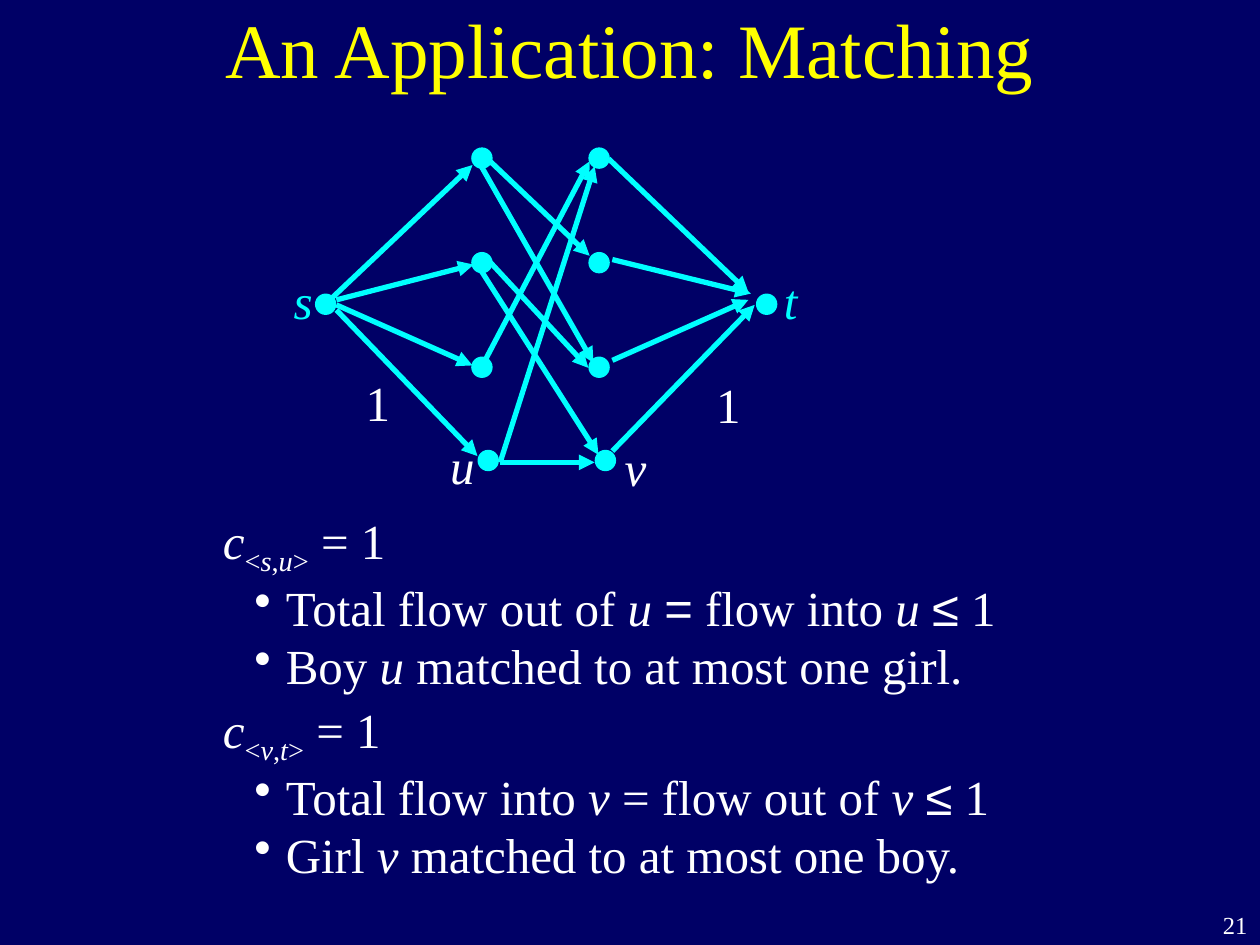
from lxml import etree
from pptx import Presentation
from pptx.dml.color import RGBColor
from pptx.enum.shapes import MSO_CONNECTOR, MSO_SHAPE
from pptx.enum.text import MSO_ANCHOR, PP_ALIGN
from pptx.oxml.ns import qn
from pptx.util import Inches, Pt

NAVY = RGBColor(0x00, 0x00, 0x66)
YELLOW = RGBColor(0xFF, 0xFF, 0x00)
CYAN = RGBColor(0x00, 0xFF, 0xFF)
WHITE = RGBColor(0xFF, 0xFF, 0xFF)
SERIF, SANS = "Times New Roman", "Arial"
LEFT, CENTER, RIGHT = PP_ALIGN.LEFT, PP_ALIGN.CENTER, PP_ALIGN.RIGHT
MIDDLE = MSO_ANCHOR.MIDDLE
STRAIGHT, OVAL = MSO_CONNECTOR.STRAIGHT, MSO_SHAPE.OVAL
DOT = 0.17

prs = Presentation()
prs.slide_width, prs.slide_height = Inches(10), Inches(7.5)
s = prs.slides.add_slide(prs.slide_layouts[5])
s.background.fill.solid()
s.background.fill.fore_color.rgb = NAVY


def style_run(r, size, color, italic=False, font=SERIF):
    r.font.name, r.font.size = font, Pt(size)
    r.font.color.rgb, r.font.italic = color, italic


def add_text(x, y, w, h, text="", size=28, color=WHITE, italic=False, align=CENTER):
    tf = s.shapes.add_textbox(Inches(x), Inches(y), Inches(w), Inches(h)).text_frame
    tf.word_wrap = False
    p = tf.paragraphs[0]
    p.text, p.alignment = text, align
    for r in p.runs:
        style_run(r, size, color, italic)
    return tf


# Title
title = s.shapes.title
title.left, title.top = Inches(0.75), Inches(-0.25)
title.width, title.height = Inches(8.5), Inches(1.25)
tf = title.text_frame
tf.text = "An Application: Matching"
tf.vertical_anchor = MIDDLE
tf.paragraphs[0].alignment = CENTER
style_run(tf.paragraphs[0].runs[0], 44, YELLOW)

# Arrows of the flow network, each as (x1, y1, x2, y2)
boy_to_girl = [
    (3.82, 1.32, 4.71, 2.88), (3.88, 2.07, 4.67, 2.92), (3.85, 2.86, 4.68, 1.28),
    (3.97, 3.67, 4.72, 3.67), (3.89, 1.28, 4.68, 2.03), (3.82, 2.15, 4.75, 3.61),
    (3.97, 3.67, 4.72, 1.32),
]
source_to_boy = [
    (2.67, 2.46, 3.79, 3.62), (2.67, 2.42, 3.75, 2.9),
    (2.67, 2.38, 3.76, 2.1), (2.64, 2.36, 3.75, 1.31),
]
girl_to_sink = [
    (4.86, 3.58, 5.99, 2.42), (4.86, 2.86, 5.94, 2.38),
    (4.86, 2.06, 5.96, 2.33), (4.83, 1.26, 5.94, 2.32),
]
for ends in boy_to_girl + source_to_boy + girl_to_sink:
    arrow = s.shapes.add_connector(STRAIGHT, *(Inches(v) for v in ends))
    arrow.line.color.rgb = CYAN
    arrow.line.width = Pt(3)
    sp_pr = arrow._element.spPr
    etree.SubElement(sp_pr.find(qn("a:ln")), qn("a:tailEnd"), type="triangle")
    etree.SubElement(sp_pr, qn("a:effectLst"))

# Nodes: source, sink, then three aligned boy-girl rows and the pair u, v
nodes = [(2.5, 2.33), (6, 2.33), (3.79, 3.57), (4.72, 3.57)]
nodes += [(x, 1.17 + 0.83 * row) for row in range(3) for x in (3.74, 4.67)]
for x, y in nodes:
    dot = s.shapes.add_shape(OVAL, Inches(x), Inches(y), Inches(DOT), Inches(DOT))
    dot.shadow.inherit = False
    dot.fill.solid()
    dot.fill.fore_color.rgb = CYAN
    dot.line.fill.background()

# Node names and capacities
for text, x, y, w, color in [
    ("s", 2.23, 2.1, 0.35, CYAN), ("t", 6.12, 2.1, 0.31, CYAN),
    ("u", 3.47, 3.41, 0.4, WHITE), ("v", 4.86, 3.42, 0.37, WHITE),
    ("1", 2.8, 2.91, 0.4, WHITE), ("1", 5.58, 2.92, 0.4, WHITE),
]:
    add_text(x, y, w, 0.57, text, color=color, italic=text.isalpha())

# Capacity constraints; run flags: i italic, b subscript, a sans font
blocks = [
    (4, 6.49, "s", "u", [
        [("Total flow out of ", ""), ("u ", "i"), ("=", "a"), (" flow into ", ""),
         ("u ", "i"), ("≤", "a"), (" 1", "")],
        [("Boy ", ""), ("u", "i"), (" matched to at most one girl.", "")],
    ]),
    (5.5, 6.45, "v", "t", [
        [("Total flow into ", ""), ("v ", "i"), ("= flow out of ", ""),
         ("v ", "i"), ("≤", "a"), (" 1", "")],
        [("Girl ", ""), ("v ", "i"), ("matched to at most one boy.", "")],
    ]),
]
for top, width, tail, head, bullets in blocks:
    tf = add_text(1.67, top, width, 1.5, align=LEFT)
    heading = [("c", "i"), ("<", "b"), (tail, "ib"), (",", "b"), (head, "ib"),
               (">", "b"), (" = 1", "")]
    for i, runs in enumerate([heading] + bullets):
        p = tf.add_paragraph() if i else tf.paragraphs[0]
        if i:
            p.level = 1
            p_pr = p._p.get_or_add_pPr()
            p_pr.set("marL", str(Inches(0.5)))
            p_pr.set("indent", str(Inches(-0.25)))
            etree.SubElement(p_pr, qn("a:buChar"), char="•")
        for text, flags in runs:
            r = p.add_run()
            r.text = text
            style_run(r, 28, WHITE, "i" in flags, SANS if "a" in flags else SERIF)
            if "b" in flags:
                r._r.get_or_add_rPr().set("baseline", "-25000")

# Slide number
add_text(9.5, 7.17, 0.5, 0.33, "21", size=14, align=RIGHT)

prs.save("out.pptx")
